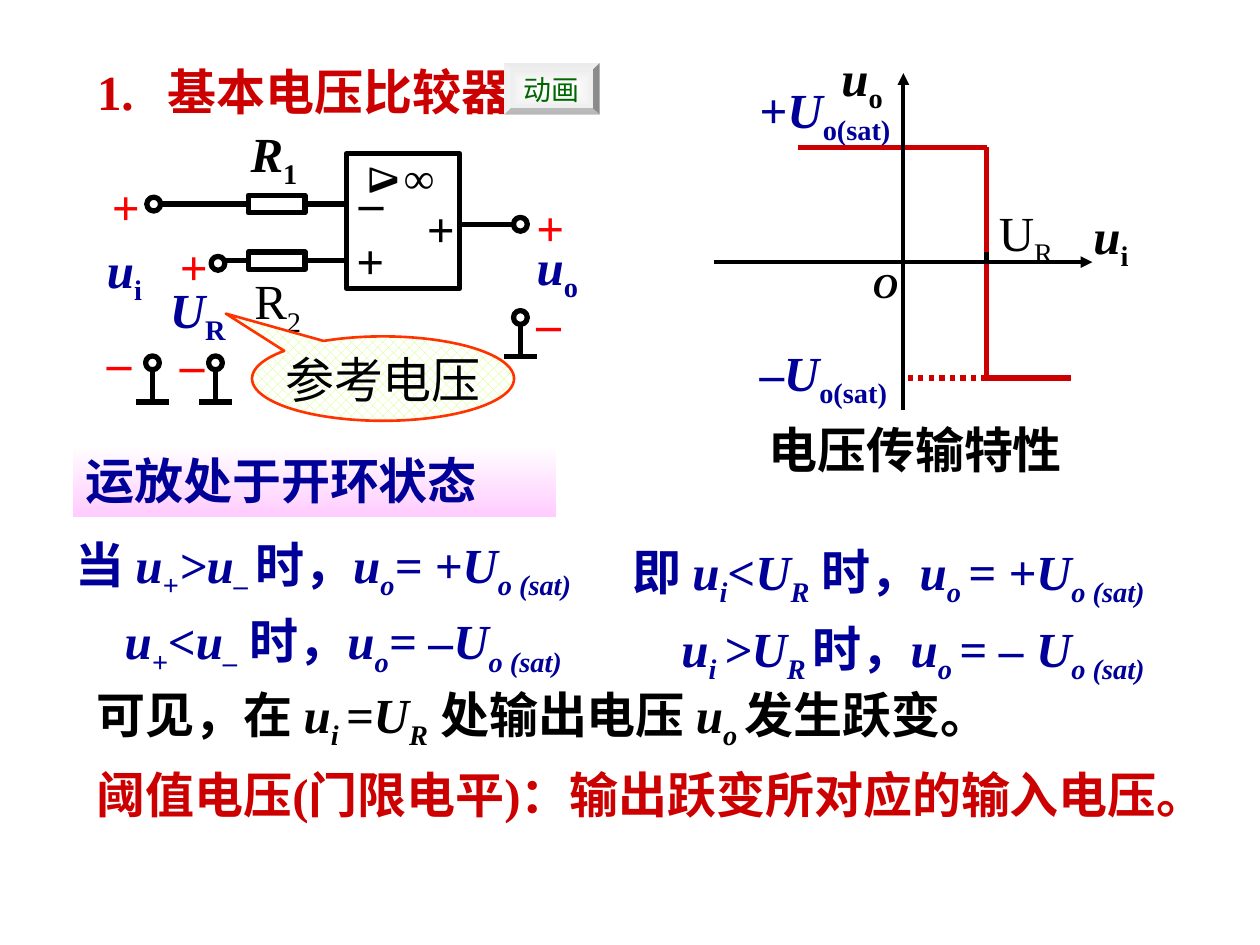
from lxml import etree
from pptx import Presentation
from pptx.dml.color import RGBColor
from pptx.enum import dml, shapes, text
from pptx.oxml import ns
from pptx.util import Inches, Pt

COLORS = {
    "black": "000000", "navy": "000099", "crimson": "CC0000", "red": "FF0000",
    "green": "006600", "orange": "FF3300", "lime": "CCFF66", "white": "FFFFFF",
    "pink": "FFCCFF", "silver": "E7E7E7",
}
STYLES = {"*": (True, False), "_": (False, True), "~": (True, True)}
FONT = "Times New Roman"


def rgb(name):
    return RGBColor.from_string(COLORS[name])


def write(frame, lines, color="black", size=28, bold=True, indents=(0,),
          align=text.PP_ALIGN.LEFT, spacing=None):
    for index, line in enumerate(lines):
        para = frame.paragraphs[0] if index == 0 else frame.add_paragraph()
        para.alignment = align
        if index:
            para.space_before = Pt(5.6)
        if spacing:
            para.line_spacing = spacing
        if indents[index]:
            para._p.get_or_add_pPr().set("marL", str(Inches(indents[index])))
        para.font.name = FONT
        para.font.size = Pt(size)
        para.font.bold = bold
        para.font.color.rgb = rgb(color)
        for part in line.split("|"):
            italic, lowered = STYLES.get(part[0], (False, False))
            span = para.add_run()
            span.text = part[1:] if part[0] in STYLES else part
            if italic:
                span.font.italic = True
            if lowered:
                span._r.get_or_add_rPr().set("baseline", "-25000")


def add_label(page, place, lines, color="black", wrap=True, **style):
    box = page.shapes.add_textbox(*map(Inches, place))
    box.text_frame.word_wrap = wrap
    box.text_frame.auto_size = text.MSO_AUTO_SIZE.SHAPE_TO_FIT_TEXT
    write(box.text_frame, lines, color, **style)
    return box


def add_line(page, start, end, color="black", width=3, arrow=False, dotted=False):
    line = page.shapes.add_connector(
        shapes.MSO_CONNECTOR.STRAIGHT, *map(Inches, start + end))
    line.line.color.rgb = rgb(color)
    line.line.width = Pt(width)
    if dotted:
        line.line.dash_style = dml.MSO_LINE.ROUND_DOT
    if arrow:
        etree.SubElement(line.line._get_or_add_ln(), ns.qn("a:tailEnd"), type="triangle")
    etree.SubElement(line._element.spPr, ns.qn("a:effectLst"))
    return line


def add_figure(page, kind, place, line_color="black", width=3):
    figure = page.shapes.add_shape(kind, *map(Inches, place))
    figure.shadow.inherit = False
    figure.fill.background()
    if line_color:
        figure.line.color.rgb = rgb(line_color)
        figure.line.width = Pt(width)
    else:
        figure.line.fill.background()
    return figure


def fill_gradient(figure, first, last):
    figure.fill.gradient()
    for stop, name in zip(figure.fill.gradient_stops, (first, last)):
        stop.color.rgb = rgb(name)


def add_terminal(page, x, y):
    add_figure(page, shapes.MSO_SHAPE.OVAL, (x - 0.055, y - 0.055, 0.11, 0.11))


def add_ground(page, x, y):
    add_line(page, (x - 0.13, y + 0.31), (x + 0.13, y + 0.31))
    add_line(page, (x, y + 0.05), (x, y + 0.31))
    add_terminal(page, x, y)


def add_resistor(page, y, wire_start):
    resistor = add_figure(page, shapes.MSO_SHAPE.RECTANGLE, (1.97, y - 0.07, 0.45, 0.14))
    add_line(page, (wire_start, y), (1.97, y)).end_connect(resistor, 1)
    add_line(page, (2.42, y), (2.75, y)).begin_connect(resistor, 3)


def add_heading(page):
    title = page.shapes.title
    title.left, title.top, title.width, title.height = map(Inches, (0.67, 0.44, 4.17, 0.58))
    frame = title.text_frame
    frame.auto_size = text.MSO_AUTO_SIZE.NONE
    frame.vertical_anchor = text.MSO_ANCHOR.TOP
    tabs = etree.SubElement(frame.paragraphs[0]._p.get_or_add_pPr(), ns.qn("a:tabLst"))
    etree.SubElement(tabs, ns.qn("a:tab"), pos=str(Inches(0.56)), algn="l")
    write(frame, ["1.\t基本电压比较器"], "crimson")


def add_transfer_curve(page):
    add_label(page, (6, 3.28, 2.83, 0.57), ["电压传输特性"])
    add_label(page, (5.93, 2.67, 1.57, 0.57), ["–|*U|_o(sat)"], "navy")
    add_label(page, (5.93, 0.58, 1.48, 0.57), ["+|*U|_o(sat)"], "navy")
    add_line(page, (6.33, 1.17), (7.83, 1.17), "crimson")
    add_line(page, (7.83, 1.17), (7.83, 3), "crimson")
    add_line(page, (7.83, 3), (8.5, 3), "crimson")
    add_line(page, (7.83, 3), (7.17, 3), "crimson", dotted=True)
    add_line(page, (5.67, 2.08), (8.67, 2.08), width=2.25, arrow=True)
    add_line(page, (7.17, 3.25), (7.17, 0.58), width=2.25, arrow=True)
    add_line(page, (7.83, 2), (7.83, 2.08))
    add_label(page, (8.58, 1.58, 0.58, 0.57), ["*u|_i"])
    add_label(page, (6.58, 0.33, 0.67, 0.57), ["*u|_o"])
    add_label(page, (6.83, 2.04, 0.42, 0.43), ["*O"], size=20)
    add_label(page, (7.83, 1.56, 0.67, 0.57), ["U|_R"], wrap=False, bold=False)


def add_circuit(page):
    add_figure(page, shapes.MSO_SHAPE.RECTANGLE, (2.75, 1.22, 0.9, 1.07))
    add_resistor(page, 1.62, 1.25)
    add_resistor(page, 2.07, 1.79)
    add_line(page, (3.65, 1.78), (4.09, 1.78))
    for x, y in ((1.73, 2.09), (4.13, 1.78), (1.22, 1.62)):
        add_terminal(page, x, y)
    for x, y in ((4.13, 2.52), (1.71, 2.88), (1.21, 2.88)):
        add_ground(page, x, y)

    add_label(page, (1.25, 2.17, 0.75, 0.57), ["*U|_R"], "navy")
    add_label(page, (4.16, 1.83, 0.75, 0.57), ["*u|_o"], "navy")
    add_label(page, (0.75, 1.85, 0.75, 0.57), ["*u|_i"], "navy")
    add_label(page, (1.89, 0.93, 0.61, 0.57), ["*R|_1"])
    add_label(page, (1.92, 2.1, 0.59, 0.57), ["R|_2"], wrap=False, bold=False)
    add_label(page, (2.73, 1.78, 0.39, 0.57), ["+"])
    add_label(page, (3.29, 1.53, 0.7, 0.57), ["+"])
    add_label(page, (2.75, 1.31, 0.57, 0.57), ["–"])
    add_label(page, (3.11, 1.15, 0.91, 0.5), ["∞"], size=24)
    gain = add_label(page, (2.86, 1.18, 0.41, 0.5), ["Δ"], wrap=False, size=24,
                     align=text.PP_ALIGN.CENTER)
    gain.rotation = 90
    for sign, x, y in (("+", 4.16, 1.52), ("–", 4.16, 2.27), ("+", 0.79, 1.35),
                       ("+", 1.33, 1.83), ("–", 0.75, 2.58), ("–", 1.33, 2.6)):
        add_label(page, (x, y, 0.5, 0.57), [sign], "red")


def add_conclusions(page):
    band = add_figure(page, shapes.MSO_SHAPE.RECTANGLE, (0.58, 3.53, 3.83, 0.57), None)
    fill_gradient(band, "white", "pink")
    band.fill.gradient_angle = 270
    band.text_frame.word_wrap = True
    band.text_frame.vertical_anchor = text.MSO_ANCHOR.TOP
    write(band.text_frame, ["运放处于开环状态"], "navy")

    add_label(page, (0.5, 4.19, 4.58, 1.14), [
        "当 |*u|~+|*>u|~– |时，|*u|~o|*= +U|~o (sat)",
        "*u|~+|*<u|~–| 时，|*u|~o|*= –U|~o (sat)",
    ], "navy", indents=(0, 0.39))
    add_label(page, (4.92, 4.25, 4.63, 1.14), [
        "即 |*u|~i|*<U|~R| 时，|*u|~o |*= +U|~o (sat)",
        "*u|~i |*>U|~R |时，|*u|~o |*= – U|~o (sat)",
    ], "navy", wrap=False, indents=(0, 0.39))
    add_label(page, (0.67, 5.33, 7.79, 0.61),
              ["可见，在 |*u|~i |*=U|~R| 处输出电压 |*u|~o |发生跃变。"],
              wrap=False, spacing=1.1)
    add_label(page, (0.67, 5.97, 8.83, 0.61),
              ["阈值电压(门限电平)：输出跃变所对应的输入电压。"], "crimson", spacing=1.1)


def add_callout(page):
    callout = add_figure(page, shapes.MSO_SHAPE.OVAL_CALLOUT, (2, 2.67, 2.08, 0.67),
                         "orange", 1.5)
    callout.adjustments[0], callout.adjustments[1] = -0.6, -0.77
    callout.fill.patterned()
    callout.fill.pattern = dml.MSO_PATTERN.from_xml("pct40")
    callout.fill.fore_color.rgb = rgb("lime")
    callout.fill.back_color.rgb = rgb("white")
    callout.text_frame.word_wrap = False
    write(callout.text_frame, ["参考电压"], bold=False, align=text.PP_ALIGN.CENTER)


def add_button(page):
    button = add_figure(page, shapes.MSO_SHAPE.BEVEL, (4, 0.5, 0.76, 0.41), None)
    fill_gradient(button, "white", "silver")
    linear = button._element.spPr.find(".//" + ns.qn("a:lin"))
    radial = etree.Element(ns.qn("a:path"), path="rect")
    etree.SubElement(radial, ns.qn("a:fillToRect"), l="50000", t="50000", r="50000", b="50000")
    linear.getparent().replace(linear, radial)
    button.text_frame.word_wrap = False
    write(button.text_frame, ["动画"], "green", size=16, bold=False,
          align=text.PP_ALIGN.CENTER)


def main():
    deck = Presentation()
    deck.slide_width, deck.slide_height = Inches(10), Inches(7.5)
    page = deck.slides.add_slide(deck.slide_layouts[5])
    add_heading(page)
    add_transfer_curve(page)
    add_circuit(page)
    add_conclusions(page)
    add_callout(page)
    add_button(page)
    deck.save("out.pptx")


if __name__ == "__main__":
    main()
